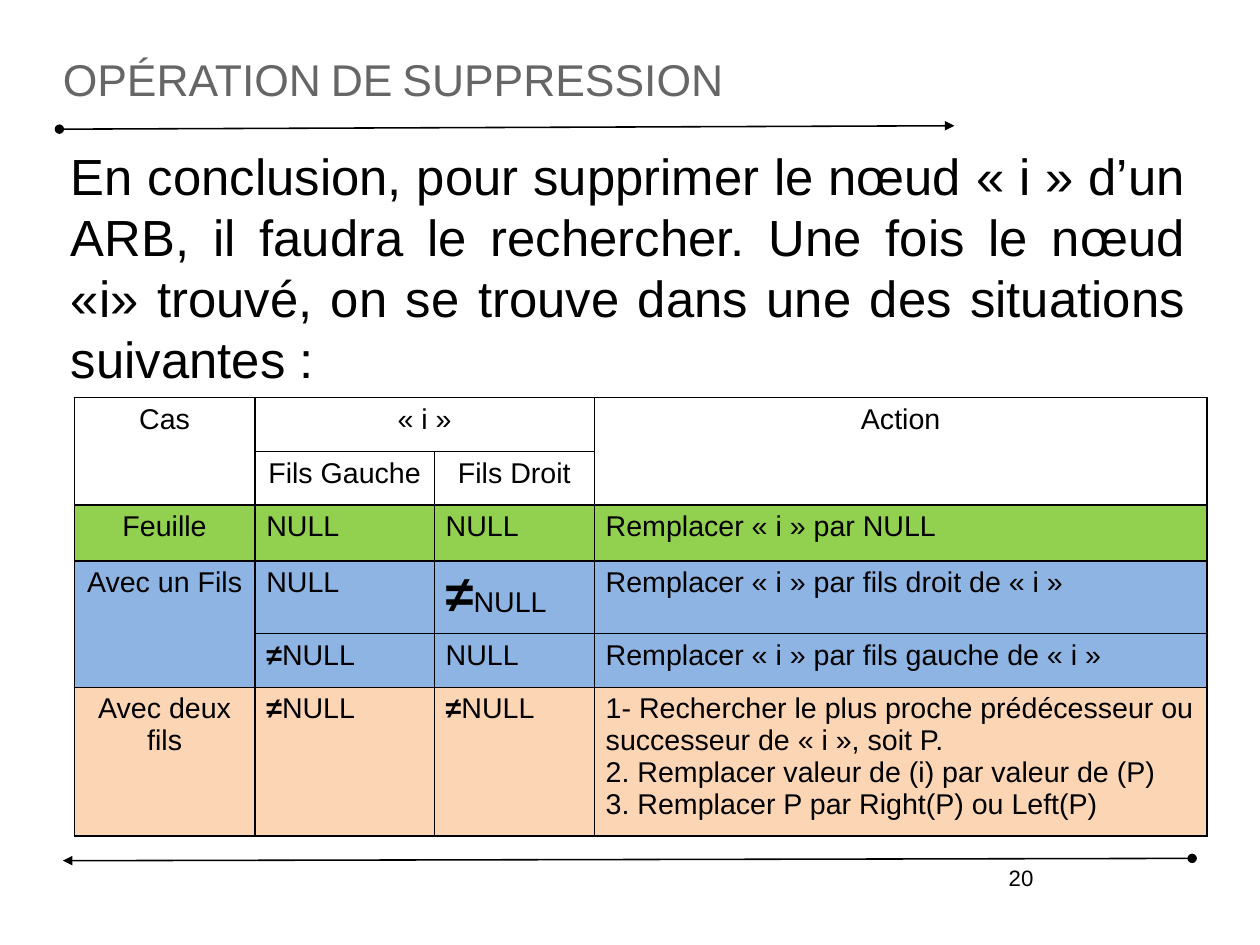
"""Slide that sums up the cases of node removal in a binary search tree."""
from lxml.etree import SubElement
from pptx import Presentation
from pptx.dml.color import RGBColor
from pptx.enum.shapes import MSO_CONNECTOR
from pptx.enum.text import MSO_ANCHOR, PP_ALIGN
from pptx.oxml import parse_xml
from pptx.oxml.ns import nsdecls, qn
from pptx.util import Inches, Pt

BLACK = RGBColor(0, 0, 0)
GRAY = RGBColor(0x66, 0x66, 0x66)
WHITE = RGBColor(0xFF, 0xFF, 0xFF)
GREEN = RGBColor(0x92, 0xD0, 0x50)
BLUE = RGBColor(0x8E, 0xB4, 0xE3)
PEACH = RGBColor(0xFC, 0xD5, 0xB5)

PAGE = (28 / 2.54, 21 / 2.54)
TITLE = "OPÉRATION DE SUPPRESSION"
BODY = ("En conclusion, pour supprimer le nœud « i » d’un ARB, il faudra le "
        "rechercher. Une fois le nœud «i» trouvé, on se trouve dans une des "
        "situations suivantes :")
NUMBER = "20"
RULES = [(0.52, 1.13, 8.35, 1.1), (10.43, 7.51, 0.55, 7.53)]

GRID = (0.65, 3.48, 9.92, 3.84)
COLS = [1.58, 1.57, 1.4, 5.36]
ROWS = [
    (0.47, WHITE, ["Cas", "« i »", "", "Action"]),
    (0.47, WHITE, ["", "Fils Gauche", "Fils Droit", ""]),
    (0.49, GREEN, ["Feuille", "NULL", "NULL", "Remplacer « i » par NULL"]),
    (0.47, BLUE, ["Avec un Fils", "NULL", "≠NULL",
                  "Remplacer « i » par fils droit de « i »"]),
    (0.47, BLUE, ["", "≠NULL", "NULL",
                  "Remplacer « i » par fils gauche de « i »"]),
    (0.94, PEACH, ["Avec deux fils", "≠NULL", "≠NULL",
                   "1- Rechercher le plus proche prédécesseur ou successeur "
                   "de « i », soit P.\n"
                   "2. Remplacer valeur de (i) par valeur de (P)\n"
                   "3. Remplacer P par Right(P) ou Left(P)"]),
]
SPANS = [(0, 0, 1, 0), (0, 1, 0, 2), (0, 3, 1, 3), (3, 0, 4, 0)]
HEADS = 2
BIG = (3, 2)


def add_run(para, text, size, color=BLACK, bold=False):
    run = para.add_run()
    run.text = text
    font = run.font
    font.name, font.size, font.bold = "Arial", Pt(size), bold
    font.color.rgb = color
    return run


def add_text(slide, box, text, size, color=BLACK, align=PP_ALIGN.LEFT,
             pad=(0, 0), anchor=MSO_ANCHOR.TOP):
    frame = slide.shapes.add_textbox(*map(Inches, box)).text_frame
    frame.word_wrap = True
    frame.vertical_anchor = anchor
    frame.margin_left = frame.margin_right = Inches(pad[0])
    frame.margin_top = frame.margin_bottom = Inches(pad[1])
    para = frame.paragraphs[0]
    para.alignment = align
    add_run(para, text, size, color)
    return para


def add_rule(slide, ends):
    rule = slide.shapes.add_connector(MSO_CONNECTOR.STRAIGHT, *map(Inches, ends))
    rule.line.color.rgb = BLACK
    rule.line.width = Pt(1)
    line = rule.line._get_or_add_ln()
    SubElement(line, qn("a:headEnd"), type="oval")
    SubElement(line, qn("a:tailEnd"), type="triangle")
    SubElement(rule._element.spPr, qn("a:effectLst"))


def add_edges(cell):
    props = cell._tc.get_or_add_tcPr()
    for spot, side in enumerate("LRTB"):
        props.insert(spot, parse_xml(
            f'<a:ln{side} {nsdecls("a")} w="12700"><a:solidFill>'
            f'<a:srgbClr val="{BLACK}"/></a:solidFill></a:ln{side}>'))


def fill_cell(cell, text, color, center, big):
    cell.fill.solid()
    cell.fill.fore_color.rgb = color
    add_edges(cell)
    frame = cell.text_frame
    for row, line in enumerate(text.split("\n")):
        para = frame.add_paragraph() if row else frame.paragraphs[0]
        para.alignment = PP_ALIGN.CENTER if center else PP_ALIGN.LEFT
        if line.startswith("≠"):
            add_run(para, "≠", 32 if big else 18, bold=True)
            line = line[1:]
        if line:
            add_run(para, line, 18)


def add_cases(slide):
    shape = slide.shapes.add_table(len(ROWS), len(COLS), *map(Inches, GRID))
    table = shape.table
    table.first_row = table.horz_banding = False
    for col, width in zip(table.columns, COLS):
        col.width = Inches(width)
    for top, left, low, right in SPANS:
        table.cell(top, left).merge(table.cell(low, right))
    for r, (height, color, texts) in enumerate(ROWS):
        table.rows[r].height = Inches(height)
        for c, text in enumerate(texts):
            center = r < HEADS or c == 0
            fill_cell(table.cell(r, c), text, color, center, (r, c) == BIG)
    shape.width, shape.height = map(Inches, GRID[2:])


def main():
    deck = Presentation()
    deck.slide_width, deck.slide_height = map(Inches, PAGE)
    slide = deck.slides.add_slide(deck.slide_layouts[6])
    for ends in RULES:
        add_rule(slide, ends)
    add_text(slide, (6.57, 7.51, 2.57, 0.57), NUMBER, 14,
             align=PP_ALIGN.RIGHT, pad=(0.1, 0.05))
    para = add_text(slide, (0.5, 1.27, 9.88, 6.52), BODY, 32,
                    align=PP_ALIGN.JUSTIFY)
    para.space_before = Pt(9.4)
    para._p.get_or_add_pPr().set("marL", str(Inches(0.12)))
    head = add_text(slide, (0.55, 0.33, 9.92, 0.72), TITLE, 28, GRAY,
                    anchor=MSO_ANCHOR.MIDDLE)
    head.runs[0].font._element.set("cap", "small")
    add_cases(slide)
    deck.save("out.pptx")


if __name__ == "__main__":
    main()
